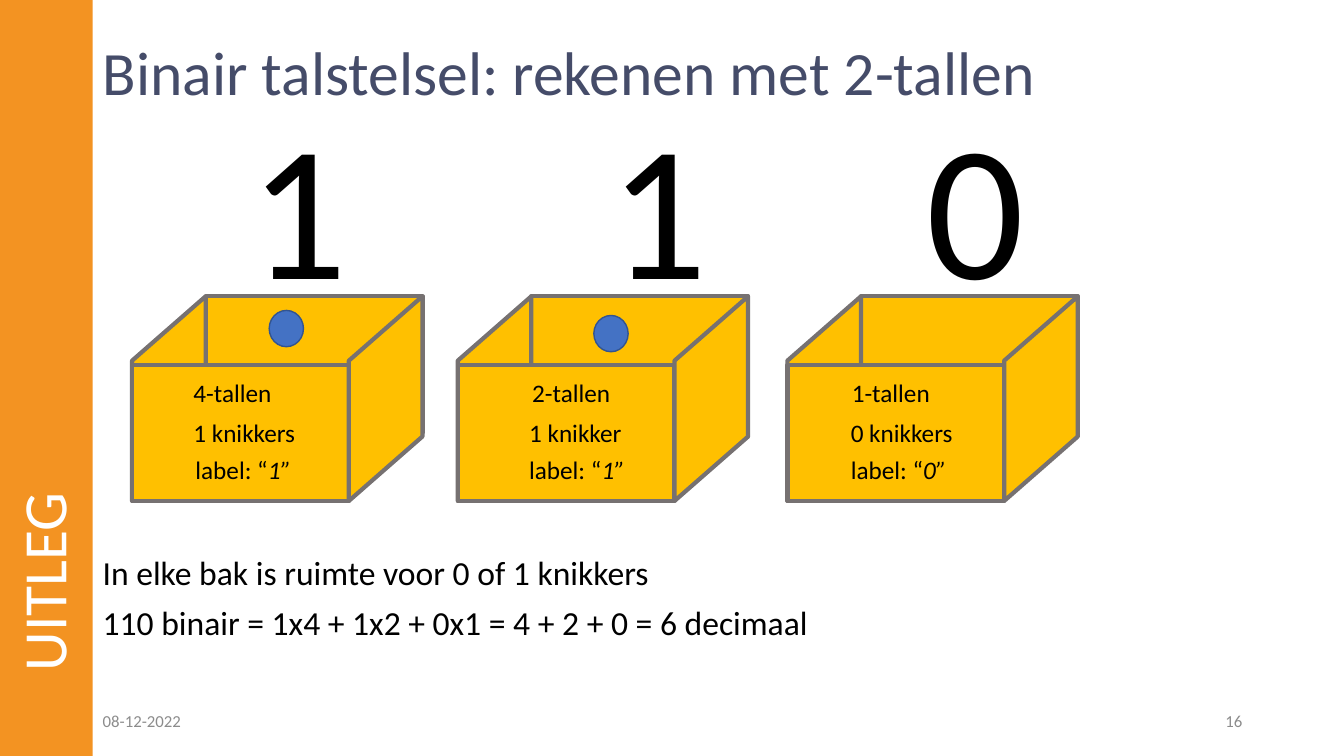
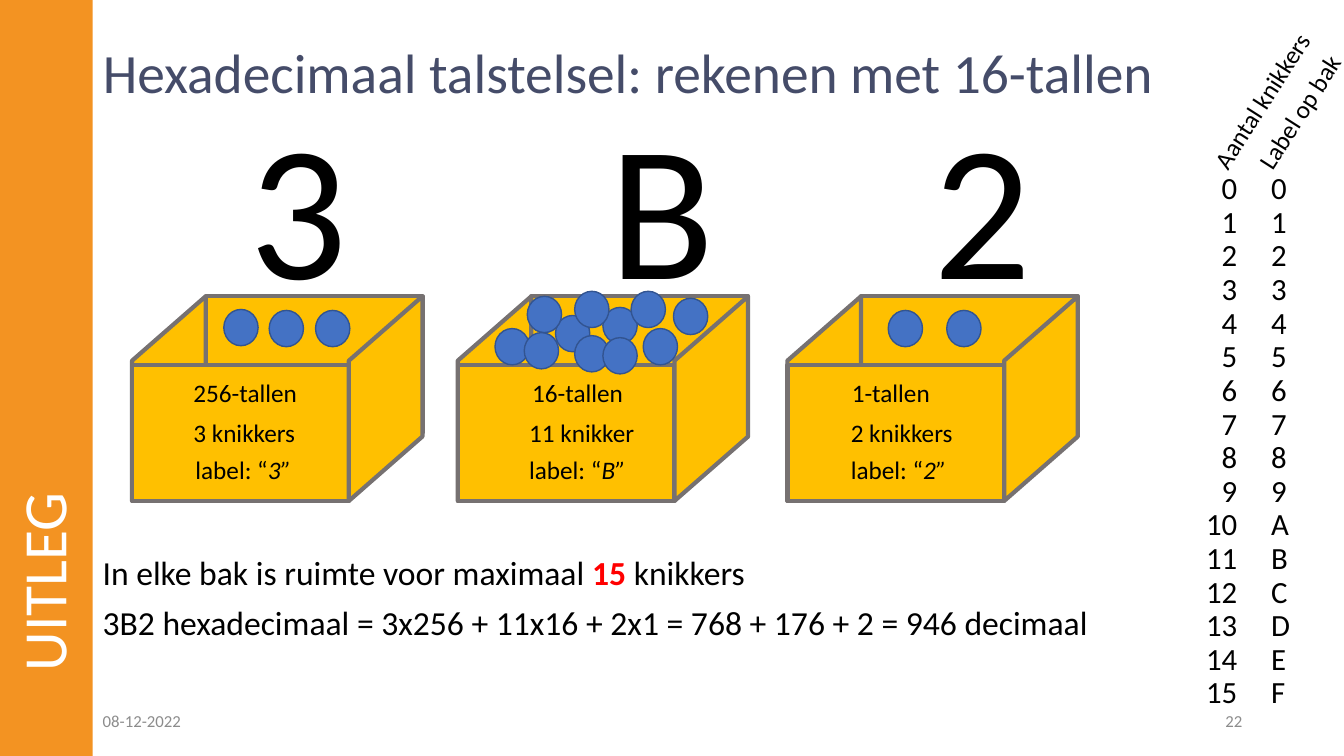
from dataclasses import dataclass, field
from typing import Any, NamedTuple

from pptx import Presentation
from pptx import util as u
from pptx.dml.color import RGBColor
from pptx.enum import shapes, text

PX = 9144  # EMU per px, 100 px to the inch
FONT = "Calibri"
BLACK, WHITE, RED, GREY = "000000", "FFFFFF", "FF0000", "8C8C8C"
ORANGE, TITLE_BLUE = "F39322", "454C69"
CRATE_FILL, CRATE_EDGE = "FFC000", "767171"
MARBLE_FILL, MARBLE_EDGE = "4472C4", "325491"
CRATE_LEFTS = (131, 454, 781)
LABEL_LEFTS = ((182, 182, 184), (518, 515, 515), (835, 834, 834))
LABEL_TOPS = (369, 409, 446)
LEFT = text.PP_ALIGN.LEFT
RIGHT = text.PP_ALIGN.RIGHT
MIDDLE = text.MSO_ANCHOR.MIDDLE


class Box(NamedTuple):
    left: int
    top: int
    width: int
    height: int

    def emu(self) -> list[u.Emu]:
        return [u.Emu(length * PX) for length in self]


class Run(NamedTuple):
    text: str
    color: str = BLACK
    bold: bool = False
    italic: bool = False


Paragraphs = list[list[Run]]


@dataclass
class Crate:
    digit: str
    digit_left: int
    unit: str
    count: str
    marbles: list[tuple[int, int]] = field(default_factory=list)


@dataclass
class Lesson:
    title: str
    title_size: float
    number: str
    crates: list[Crate]
    explanation: Paragraphs


def rgb(color: str) -> RGBColor:
    return RGBColor.from_string(color)


def apply(target: Any, values: dict[str, Any]) -> None:
    for name, value in values.items():
        setattr(target, name, value)


def write(frame: Any, paragraphs: Paragraphs, size: float, anchor: Any = text.MSO_ANCHOR.TOP,
          align: Any = LEFT, spacing: Any = 1.0, before: int = 0) -> None:
    apply(frame, {"word_wrap": True, "auto_size": text.MSO_AUTO_SIZE.NONE,
                  "vertical_anchor": anchor})
    for index, runs in enumerate(paragraphs):
        paragraph = frame.paragraphs[0] if index == 0 else frame.add_paragraph()
        apply(paragraph, {"alignment": align, "line_spacing": spacing,
                          "space_before": u.Pt(before if index else 0)})
        for part in runs:
            run = paragraph.add_run()
            run.text = part.text
            apply(run.font, {"name": FONT, "size": u.Pt(size), "bold": part.bold,
                             "italic": part.italic})
            run.font.color.rgb = rgb(part.color)


def add_text(slide: Any, box: Box, paragraphs: Paragraphs, size: float,
             rotation: float = 0, **layout: Any) -> None:
    holder = slide.shapes.add_textbox(*box.emu())
    holder.rotation = rotation
    write(holder.text_frame, paragraphs, size, **layout)


def add_solid(parent: Any, kind: Any, box: Box, fill: str, edge: str = "",
              edge_width: float = 1) -> Any:
    solid = parent.shapes.add_shape(kind, *box.emu())
    solid.shadow.inherit = False
    solid.fill.solid()
    solid.fill.fore_color.rgb = rgb(fill)
    if edge:
        solid.line.color.rgb = rgb(edge)
        solid.line.width = u.Pt(edge_width)
    else:
        solid.line.fill.background()
    return solid


def add_crate_body(slide: Any, left: int) -> None:
    """Draw the open crate from back to front: back, left side, front, right side."""
    body = slide.shapes.add_group_shape()
    for panel_left, panel_top, side_left in ((73, 294, -65), (0, 362, 150)):
        add_solid(body, shapes.MSO_SHAPE.RECTANGLE,
                  Box(left + panel_left, panel_top, 215, 135), CRATE_FILL, CRATE_EDGE, 3)
        side = add_solid(body, shapes.MSO_SHAPE.PARALLELOGRAM,
                         Box(left + side_left, 359, 203, 73), CRATE_FILL, CRATE_EDGE, 3)
        side.adjustments[0] = 0.875
        side.rotation = 90
        side._element.spPr.get_or_add_xfrm().set("flipV", "1")


def add_crate(slide: Any, crate: Crate, left: int, label_lefts: tuple[int, ...]) -> None:
    add_crate_body(slide, left)
    labels = ([Run(crate.unit)], [Run(crate.count)],
              [Run("label: “"), Run(f"{crate.digit}”", italic=True)])
    for label, label_left, top in zip(labels, label_lefts, LABEL_TOPS):
        add_text(slide, Box(label_left, top, 150, 40), [label], 18)
    for marble_left, marble_top in crate.marbles:
        add_solid(slide, shapes.MSO_SHAPE.OVAL, Box(marble_left, marble_top, 34, 36),
                  MARBLE_FILL, MARBLE_EDGE)
    add_text(slide, Box(crate.digit_left, 81, 140, 242), [[Run(crate.digit)]], 138)


def add_lesson(deck: Any, lesson: Lesson) -> Any:
    slide = deck.slides.add_slide(deck.slide_layouts[5])
    add_solid(slide, shapes.MSO_SHAPE.RECTANGLE, Box(0, 0, 92, 750), ORANGE)
    add_text(slide, Box(-292, 292, 676, 92), [[Run("UITLEG", WHITE)]], 44, rotation=270,
             anchor=MIDDLE, spacing=0.9)
    title = slide.shapes.title
    apply(title, dict(zip(("left", "top", "width", "height"), Box(92, 32, 1150, 86).emu())))
    write(title.text_frame, [[Run(lesson.title, TITLE_BLUE)]], lesson.title_size,
          anchor=MIDDLE, spacing=0.9)
    for left, footer, align in ((92, "08-12-2022", LEFT), (942, lesson.number, RIGHT)):
        add_text(slide, Box(left, 695, 300, 40), [[Run(footer, GREY)]], 12,
                 anchor=MIDDLE, align=align)
    for crate, left, label_lefts in zip(lesson.crates, CRATE_LEFTS, LABEL_LEFTS):
        add_crate(slide, crate, left, label_lefts)
    add_text(slide, Box(92, 547, 1150, 129), lesson.explanation, 24, spacing=0.9, before=10)
    return slide


def add_digit_key(slide: Any) -> None:
    """List the marble counts 0 to 15 next to their hexadecimal labels."""
    counts = [[Run(str(value))] for value in range(16)]
    digits = [[Run(f"{value:X}")] for value in range(16)]
    for left, column, align in ((1183, counts, RIGHT), (1251, digits, LEFT)):
        add_text(slide, Box(left, 166, 54, 539), column, 22, align=align, spacing=u.Pt(24))
    for heading, box in (("Aantal knikkers", Box(1164, 79, 175, 40)),
                         ("Label op bak", Box(1214, 90, 150, 40))):
        add_text(slide, box, [[Run(heading)]], 18, rotation=302.6)


BINARY = Lesson(
    "Binair talstelsel: rekenen met 2-tallen", 44, "16",
    [Crate("1", 238, "4-tallen", "1 knikkers", [(267, 308)]),
     Crate("1", 595, "2-tallen", "1 knikker", [(589, 313)]),
     Crate("0", 909, "1-tallen", "0 knikkers")],
    [[Run("In elke bak is ruimte voor 0 of 1 knikkers")],
     [Run("110 binair = 1x4 + 1x2 + 0x1 = 4 + 2 + 0 = 6 decimaal")]])

HEXADECIMAL = Lesson(
    "Hexadecimaal talstelsel: rekenen met 16-tallen", 39.6, "22",
    [Crate("3", 238, "256-tallen", "3 knikkers", [(222, 307), (267, 308), (313, 308)]),
     Crate("B", 595, "16-tallen", "11 knikker",
           [(598, 305), (551, 313), (491, 326), (638, 326), (668, 296), (523, 294),
            (570, 289), (626, 289), (520, 330), (570, 333), (598, 335)]),
     Crate("2", 916, "1-tallen", "2 knikkers", [(881, 308), (939, 308)])],
    [[Run("In elke bak is ruimte voor maximaal "), Run("15", RED, bold=True),
      Run(" knikkers")],
     [Run("3B2 hexadecimaal = 3x256 + 11x16 + 2x1 = 768 + 176 + 2 = 946 decimaal")]])


def main() -> None:
    deck = Presentation()
    deck.slide_width, deck.slide_height = u.Inches(13.33), u.Inches(7.5)
    add_lesson(deck, BINARY)
    add_digit_key(add_lesson(deck, HEXADECIMAL))
    deck.save("out.pptx")


if __name__ == "__main__":
    main()
